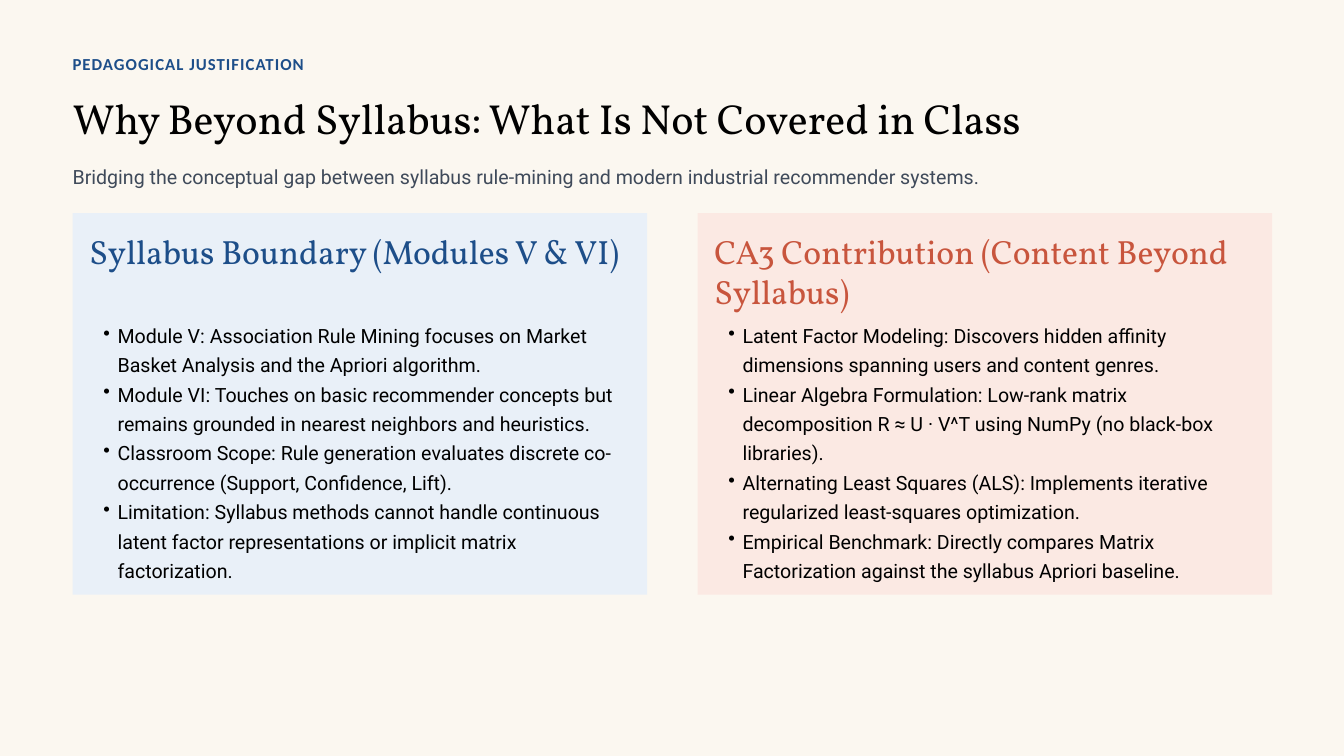
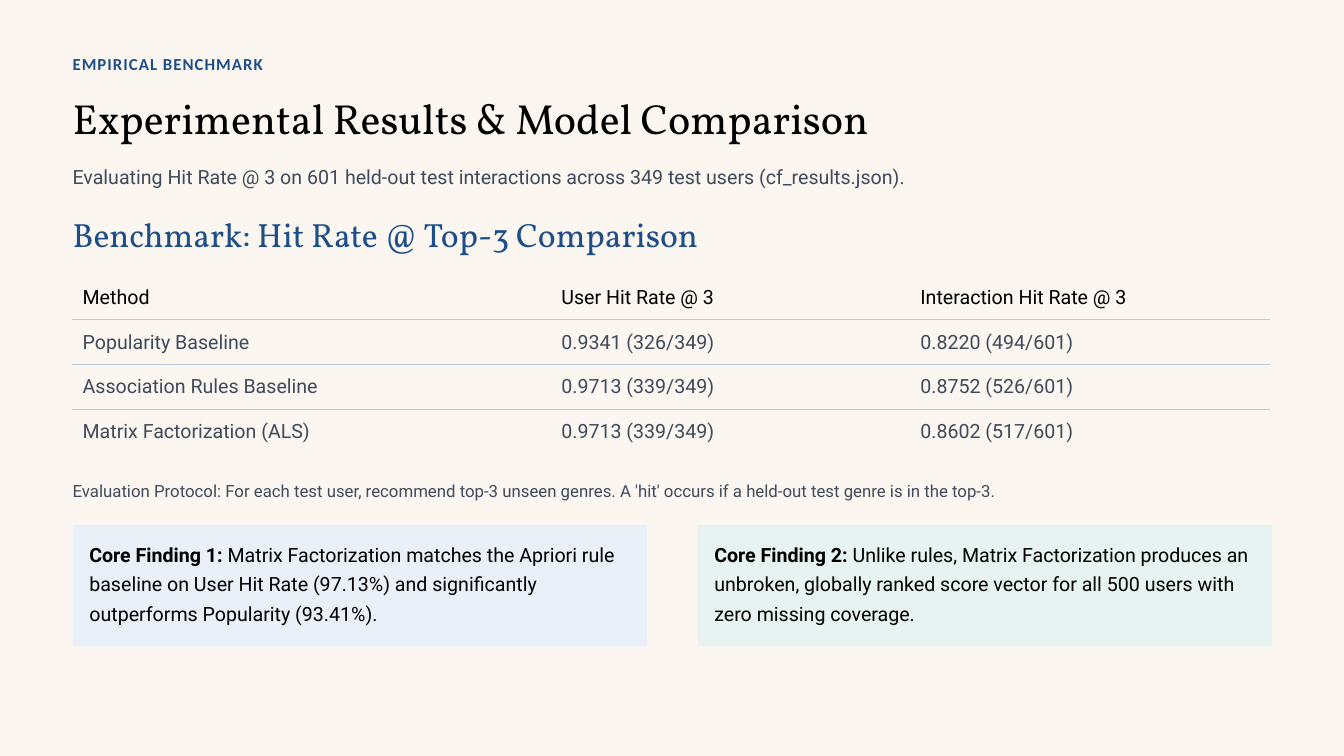
"""Builds two slides on content beyond the syllabus and its benchmark."""
from dataclasses import dataclass
from typing import Any

from lxml import etree
from pptx import Presentation
from pptx import util as u
from pptx.dml import color as c
from pptx.enum import shapes, text
from pptx.oxml import ns

CREAM = c.RGBColor(0xFB, 0xF7, 0xF0)
BLACK = c.RGBColor(0x00, 0x00, 0x00)
NAVY = c.RGBColor(0x1D, 0x4E, 0x89)
SLATE = c.RGBColor(0x3F, 0x4A, 0x5A)
RUST = c.RGBColor(0xC8, 0x55, 0x3D)
RULE = c.RGBColor(0xBB, 0xCA, 0xDC)
SKY = c.RGBColor(0xE9, 0xF0, 0xF8)
ROSE = c.RGBColor(0xFB, 0xE9, 0xE3)
MINT = c.RGBColor(0xE6, 0xF3, 0xF0)

WIDE, HIGH = u.Inches(20), u.Inches(11.25)
LEFT, COL, GAP, PAD = 5.4, 42.75, 3.75, 1.25
FULL, LONG = 2 * COL + GAP, 94.25


@dataclass(frozen=True)
class Box:
    """Place in percent of the slide's width and height."""
    x: float
    y: float
    w: float
    h: float

    def area(self) -> tuple[int, ...]:
        """Return left, top, width and height in slide units."""
        spans = (WIDE, HIGH, WIDE, HIGH)
        parts = (self.x, self.y, self.w, self.h)
        return tuple(round(span * part / 100) for span, part in zip(spans, parts))


@dataclass(frozen=True)
class Look:
    """Font, size, colour and line height of a text."""
    name: str
    size: float
    tint: c.RGBColor
    lead: float
    bold: bool = False
    track: int = 0
    dots: bool = False


@dataclass(frozen=True)
class Card:
    """Tinted panel with a heading and points."""
    fill: c.RGBColor
    tint: c.RGBColor
    head: str
    points: tuple[str, ...]


@dataclass(frozen=True)
class Find:
    """Tinted panel with a bold label and its text."""
    fill: c.RGBColor
    label: str
    body: str


KICKER = Look("Calibri", 18, NAVY, 27, bold=True, track=110)
TITLE = Look("Vollkorn", 45, BLACK, 54)
LEDE = Look("Roboto", 21, SLATE, 31.5)
BODY = Look("Roboto", 21, BLACK, 31.5)
POINTS = Look("Roboto", 21, BLACK, 31.5, dots=True)
NOTE = Look("Roboto", 18, SLATE, 27)
HEADER = Look("Roboto", 21, BLACK, 25.2)
CELL = Look("Roboto", 21, SLATE, 25.2)

SIDES = ("margin_left", "margin_top", "margin_right", "margin_bottom")
FRAME = dict.fromkeys(SIDES, 0) | {
    "word_wrap": True,
    "auto_size": text.MSO_AUTO_SIZE.SHAPE_TO_FIT_TEXT,
    "vertical_anchor": text.MSO_ANCHOR.TOP,
}
INSET = dict.fromkeys(SIDES, u.Inches(0.15)) | {"vertical_anchor": text.MSO_ANCHOR.MIDDLE}

CARDS = (
    Card(SKY, NAVY, "Syllabus Boundary (Modules V & VI)", (
        "Module V: Association Rule Mining focuses on Market Basket Analysis "
        "and the Apriori algorithm.",
        "Module VI: Touches on basic recommender concepts but remains grounded "
        "in nearest neighbors and heuristics.",
        "Classroom Scope: Rule generation evaluates discrete co-occurrence "
        "(Support, Confidence, Lift).",
        "Limitation: Syllabus methods cannot handle continuous latent factor "
        "representations or implicit matrix factorization.",
    )),
    Card(ROSE, RUST, "CA3 Contribution (Content Beyond Syllabus)", (
        "Latent Factor Modeling: Discovers hidden affinity dimensions spanning "
        "users and content genres.",
        "Linear Algebra Formulation: Low-rank matrix decomposition R ≈ U · V^T "
        "using NumPy (no black-box libraries).",
        "Alternating Least Squares (ALS): Implements iterative regularized "
        "least-squares optimization.",
        "Empirical Benchmark: Directly compares Matrix Factorization against "
        "the syllabus Apriori baseline.",
    )),
)
SCORES = (
    ("Method", "User Hit Rate @ 3", "Interaction Hit Rate @ 3"),
    ("Popularity Baseline", "0.9341 (326/349)", "0.8220 (494/601)"),
    ("Association Rules Baseline", "0.9713 (339/349)", "0.8752 (526/601)"),
    ("Matrix Factorization (ALS)", "0.9713 (339/349)", "0.8602 (517/601)"),
)
SHARES = (0.4, 0.3, 0.3)
FINDS = (
    Find(SKY, "Core Finding 1: ",
         "Matrix Factorization matches the Apriori rule baseline on User Hit Rate "
         "(97.13%) and significantly outperforms Popularity (93.41%)."),
    Find(MINT, "Core Finding 2: ",
         "Unlike rules, Matrix Factorization produces an unbroken, globally ranked "
         "score vector for all 500 users with zero missing coverage."),
)


def apply(item: Any, values: dict[str, Any]) -> None:
    """Set each named value on the item."""
    for key, value in values.items():
        setattr(item, key, value)


def add_run(para: Any, words: str, look: Look, bold: bool) -> None:
    """Add a run in the given look."""
    run = para.add_run()
    run.text = words
    apply(run.font, {"name": look.name, "size": u.Pt(look.size), "bold": bold})
    run.font.color.rgb = look.tint
    if look.track:
        run._r.get_or_add_rPr().set("spc", str(look.track))


def add_dot(para: Any) -> None:
    """Give the paragraph a hanging bullet."""
    props = para._p.get_or_add_pPr()
    props.set("marL", str(u.Inches(0.42)))
    props.set("indent", str(u.Inches(-0.21)))
    etree.SubElement(props, ns.qn("a:buChar"), char="•")
    para.level = 1


def write(frame: Any, look: Look, *lines: str, label: str = "") -> None:
    """Fill the frame with one paragraph a line, after a bold label."""
    for i, line in enumerate(lines):
        para = frame.add_paragraph() if i else frame.paragraphs[0]
        if look.dots:
            add_dot(para)
        apply(para, {"alignment": text.PP_ALIGN.LEFT, "line_spacing": u.Pt(look.lead)})
        if label:
            add_run(para, label, look, True)
        add_run(para, line, look, look.bold)


def add_text(slide: Any, box: Box, look: Look, *lines: str, label: str = "") -> None:
    """Add a text box without insets."""
    frame = slide.shapes.add_textbox(*box.area()).text_frame
    apply(frame, FRAME)
    write(frame, look, *lines, label=label)


def add_panel(slide: Any, box: Box, fill: c.RGBColor) -> None:
    """Add a plain tinted rectangle."""
    panel = slide.shapes.add_shape(shapes.MSO_SHAPE.RECTANGLE, *box.area())
    panel.shadow.inherit = False
    panel.fill.solid()
    panel.fill.fore_color.rgb = fill
    panel.line.fill.background()


def col_x(i: int) -> float:
    """Return the left edge of a column."""
    return LEFT + i * (COL + GAP)


def start(deck: Any, kicker: str, title: str, lede: str) -> Any:
    """Add a slide with its kicker, title and lede."""
    slide = deck.slides.add_slide(deck.slide_layouts[5])
    add_text(slide, Box(LEFT, 6.49, LONG, 4.27), KICKER, kicker)
    head = slide.shapes.title
    area = Box(LEFT, 12.18, FULL, 6.67).area()
    apply(head, dict(zip(("left", "top", "width", "height"), area)))
    apply(head.text_frame, FRAME)
    write(head.text_frame, TITLE, title)
    add_text(slide, Box(LEFT, 21.07, LONG, 4.44), LEDE, lede)
    return slide


def add_edge(cell: Any, side: str, tint: c.RGBColor) -> None:
    """Draw one border of a cell."""
    props = cell._tc.get_or_add_tcPr()
    line = etree.SubElement(props, ns.qn(f"a:ln{side}"), w=str(u.Pt(1)))
    fill = etree.SubElement(line, ns.qn("a:solidFill"))
    etree.SubElement(fill, ns.qn("a:srgbClr"), val=str(tint))


def add_scores(slide: Any, box: Box) -> None:
    """Add the score table with rules between its rows."""
    last = len(SCORES) - 1
    table = slide.shapes.add_table(len(SCORES), len(SHARES), *box.area()).table
    apply(table, {"first_row": False, "horz_banding": False})
    for col, share in zip(table.columns, SHARES):
        col.width = round(box.area()[2] * share)
    for i, row in enumerate(SCORES):
        edges = {"L": CREAM, "R": CREAM,
                 "T": RULE if i else CREAM, "B": RULE if i < last else CREAM}
        for j, words in enumerate(row):
            cell = table.cell(i, j)
            apply(cell, INSET)
            for side, tint in edges.items():
                add_edge(cell, side, tint)
            cell.fill.background()
            write(cell.text_frame, CELL if i else HEADER, words)


def add_why(deck: Any) -> None:
    """Add the slide that sets the syllabus against the new content."""
    slide = start(
        deck, "PEDAGOGICAL JUSTIFICATION",
        "Why Beyond Syllabus: What Is Not Covered in Class",
        "Bridging the conceptual gap between syllabus rule-mining and modern "
        "industrial recommender systems.")
    for i, card in enumerate(CARDS):
        x, w = col_x(i) + PAD, COL - 2 * PAD
        add_panel(slide, Box(col_x(i), 28.18, COL, 50.49), card.fill)
        add_text(slide, Box(x, 30.49, w, 10.67),
                 Look("Vollkorn", 36, card.tint, 43.2), card.head)
        add_text(slide, Box(x, 42.04, w, 34.31), POINTS, *card.points)


def add_bench(deck: Any) -> None:
    """Add the slide with the hit rates and findings."""
    slide = start(
        deck, "EMPIRICAL BENCHMARK", "Experimental Results & Model Comparison",
        "Evaluating Hit Rate @ 3 on 601 held-out test interactions across "
        "349 test users (cf_results.json).")
    add_text(slide, Box(LEFT, 28.27, FULL, 5.33),
             Look("Vollkorn", 36, NAVY, 43.2), "Benchmark: Hit Rate @ Top-3 Comparison")
    add_scores(slide, Box(LEFT, 36.36, 89.05, 23.73))
    add_text(slide, Box(LEFT, 62.93, LONG, 3.91), NOTE,
             "Evaluation Protocol: For each test user, recommend top-3 unseen genres. "
             "A 'hit' occurs if a held-out test genre is in the top-3.")
    for i, find in enumerate(FINDS):
        add_panel(slide, Box(col_x(i), 69.42, COL, 16.09), find.fill)
        add_text(slide, Box(col_x(i) + PAD, 71.02, COL - 2 * PAD, 12.27),
                 BODY, find.body, label=find.label)


def main() -> None:
    """Build and save the deck."""
    deck = Presentation()
    apply(deck, {"slide_width": WIDE, "slide_height": HIGH})
    back = deck.slide_master.background.fill
    back.solid()
    back.fore_color.rgb = CREAM
    add_why(deck)
    add_bench(deck)
    deck.save("out.pptx")


if __name__ == "__main__":
    main()
